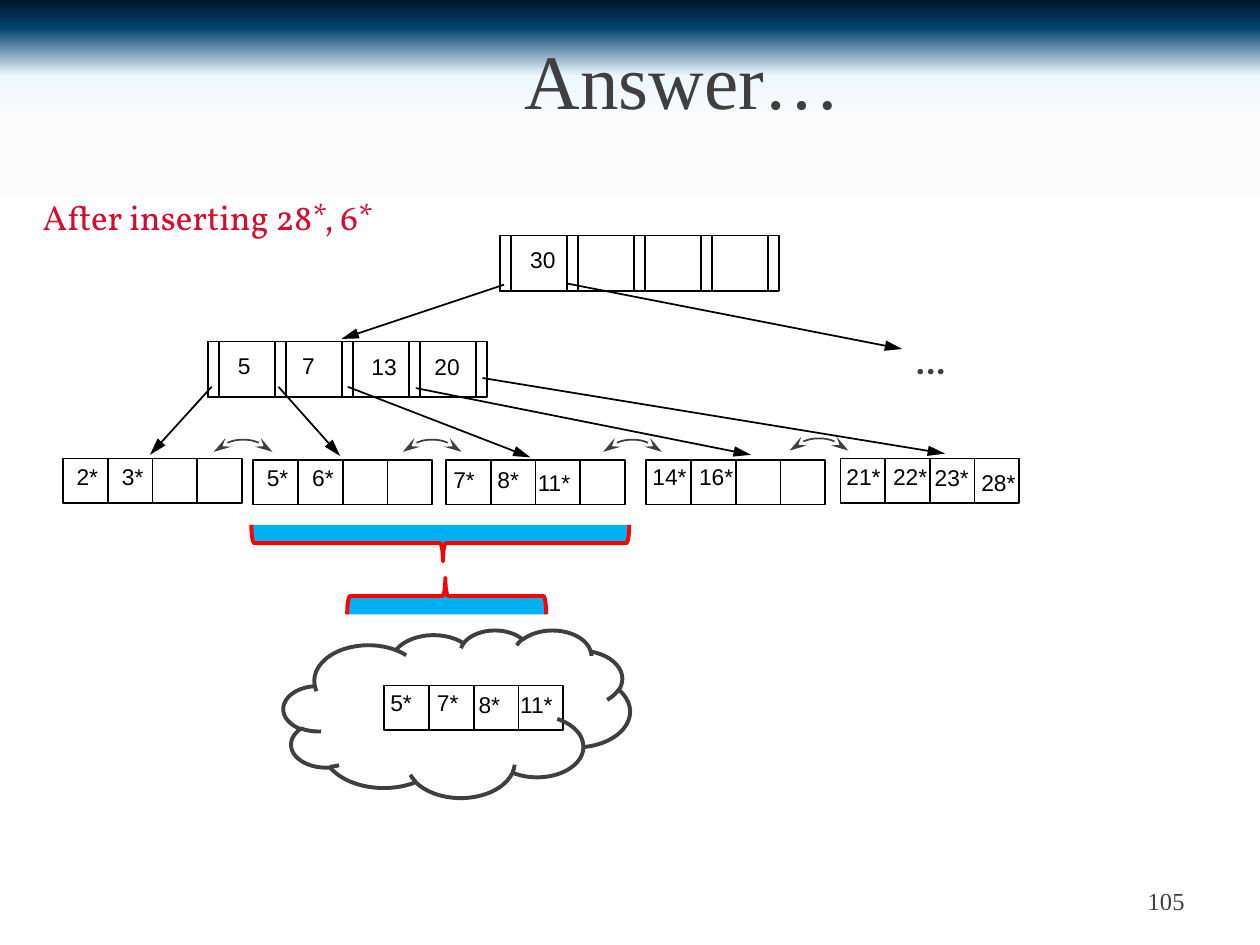
import pptx
import pptx.util
import pptx.dml.color
import pptx.enum.shapes
import pptx.enum.text
import pptx.oxml
import pptx.oxml.ns

Inches = pptx.util.Inches
Pt = pptx.util.Pt
RGBColor = pptx.dml.color.RGBColor
SHAPE = pptx.enum.shapes.MSO_SHAPE
ALIGN = pptx.enum.text.PP_ALIGN
ANCHOR = pptx.enum.text.MSO_ANCHOR

BLACK = RGBColor(0, 0, 0)
GRAY = RGBColor(0x3F, 0x3F, 0x3F)
CRIMSON = RGBColor(0xCF, 0x0E, 0x30)
RED = RGBColor(0xFF, 0, 0)
BLUE = RGBColor(0, 0xB0, 0xF0)
BACKGROUND_STOPS = [
    (0, RGBColor(0x01, 0x16, 0x29)), (3, RGBColor(0x05, 0x44, 0x70)),
    (8, RGBColor(0xEC, 0xF7, 0xFE)), (13, RGBColor(0xFC, 0xFC, 0xFC)),
    (21, RGBColor(0xFF, 0xFF, 0xFF)), (98, RGBColor(0xFF, 0xFF, 0xFF)),
]

LEAF_CELL = 0.355
KEY_CELL, POINTER_CELL, INDEX_HEIGHT = 0.532, 0.088, 0.44

# Each node: left, top, then labels as (text, left, top)
INDEX_NODES = [
    (3.97, 1.87, [("30", 4.11, 1.9)]),
    (1.65, 2.71, [("5", 1.79, 2.74), ("7", 2.3, 2.74),
                  ("13", 2.85, 2.75), ("20", 3.35, 2.75)]),
]
LEAF_NODES = [
    (0.5, 3.64, [("2*", 0.51, 3.62), ("3*", 0.87, 3.62)]),
    (2.01, 3.65, [("5*", 2.02, 3.63), ("6*", 2.38, 3.63)]),
    (3.54, 3.65, [("7*", 3.5, 3.65), ("8*", 3.85, 3.65), ("11*", 4.17, 3.67)]),
    (5.13, 3.65, [("14*", 5.08, 3.62), ("16*", 5.45, 3.62)]),
    (6.67, 3.64, [("21*", 6.62, 3.62), ("22*", 6.99, 3.62),
                  ("23*", 7.32, 3.63), ("28*", 7.69, 3.67)]),
]
MERGED_NODE = (3.05, 5.44, [("5*", 3, 5.42), ("7*", 3.37, 5.42),
                            ("8*", 3.7, 5.43), ("11*", 4.03, 5.43)])

# Child pointers: start x, start y, tip x, tip y
POINTERS = [
    (4, 2.26, 2.71, 2.69), (4.5, 2.25, 7.16, 2.77),
    (1.68, 3.07, 1.19, 3.61), (2.21, 3.07, 2.7, 3.62),
    (2.76, 3.07, 4.21, 3.63), (3.3, 3.08, 5.96, 3.61),
    (3.83, 3, 7.5, 3.6),
]
# Centres of the arcs that link neighbouring leaves
SIBLING_LINKS = [(1.93, 3.82), (3.43, 3.82), (5.02, 3.82), (6.5, 3.81)]
LINK_RADIUS = 0.33


def paint_background(page):
    fill = page.background.fill
    fill.gradient()
    fill.gradient_angle = 270
    stops = page.element.xpath(".//a:gsLst")[0]
    for stop in list(stops):
        stops.remove(stop)
    namespace = pptx.oxml.ns.nsdecls("a")
    for percent, color in BACKGROUND_STOPS:
        stops.append(pptx.oxml.parse_xml(
            f'<a:gs {namespace} pos="{percent * 1000}"><a:srgbClr val="{color}"/></a:gs>'))


def add_text(page, text, left, top, width, height, size, font, color,
             align=ALIGN.LEFT, anchor=ANCHOR.TOP, bold=False, wrap=False):
    box = page.shapes.add_textbox(Inches(left), Inches(top), Inches(width), Inches(height))
    frame = box.text_frame
    frame.text = text
    frame.word_wrap = wrap
    frame.vertical_anchor = anchor
    para = frame.paragraphs[0]
    para.alignment = align
    span = para.runs[0]
    span.font.size = Pt(size)
    span.font.name = font
    span.font.bold = bold
    span.font.color.rgb = color


def add_outline(page, kind, left, top, width, height, color=BLACK, weight=1, fill=None):
    shape = page.shapes.add_shape(
        kind, Inches(left), Inches(top), Inches(width), Inches(height))
    shape.shadow.inherit = False
    if fill is None:
        shape.fill.background()
    else:
        shape.fill.solid()
        shape.fill.fore_color.rgb = fill
    shape.line.color.rgb = color
    shape.line.width = Pt(weight)
    return shape


def add_arrowhead(shape, end, kind):
    line = shape.line._get_or_add_ln()
    line.append(pptx.oxml.parse_xml(
        f'<a:{end} {pptx.oxml.ns.nsdecls("a")} type="{kind}" w="med" len="lg"/>'))


def add_labels(page, labels):
    for text, left, top in labels:
        width = 0.2 + 0.1 * len(text) - (0.03 if "*" in text else 0)
        add_text(page, text, left, top, width, 0.32, 13, "Arial", BLACK)


def add_leaf(page, left, top):
    for index in range(4):
        add_outline(page, SHAPE.RECTANGLE, left + index * LEAF_CELL, top,
                    LEAF_CELL, LEAF_CELL)


def add_index_node(page, left, top):
    for index in range(5):
        cell_left = left + index * KEY_CELL
        if index < 4:
            add_outline(page, SHAPE.RECTANGLE, cell_left, top, KEY_CELL, INDEX_HEIGHT)
        add_outline(page, SHAPE.RECTANGLE, cell_left, top, POINTER_CELL, INDEX_HEIGHT)


def add_pointer(page, start_x, start_y, tip_x, tip_y):
    arrow = page.shapes.add_connector(
        pptx.enum.shapes.MSO_CONNECTOR.STRAIGHT,
        Inches(start_x), Inches(start_y), Inches(tip_x), Inches(tip_y))
    arrow.line.color.rgb = BLACK
    arrow.line.width = Pt(1)
    add_arrowhead(arrow, "tailEnd", "triangle")
    arrow.element.spPr.append(
        pptx.oxml.parse_xml(f'<a:effectLst {pptx.oxml.ns.nsdecls("a")}/>'))


def add_sibling_link(page, center_x, center_y):
    arc = add_outline(page, SHAPE.ARC, center_x - LINK_RADIUS, center_y - LINK_RADIUS,
                      2 * LINK_RADIUS, 2 * LINK_RADIUS, GRAY)
    # Angles in units of 0.6 per degree: 225 to 315 degrees
    arc.adjustments[0] = 225 * 0.6
    arc.adjustments[1] = 315 * 0.6
    for end in ("headEnd", "tailEnd"):
        add_arrowhead(arc, end, "stealth")


def add_brace(page, left, top, width, height, rotation):
    brace = add_outline(page, SHAPE.LEFT_BRACE, left, top, width, height, RED, 2.25, BLUE)
    brace.adjustments[0] = 0.083
    brace.adjustments[1] = 0.507
    brace.rotation = rotation


def main():
    deck = pptx.Presentation()
    deck.slide_width, deck.slide_height = Inches(10), Inches(7.5)
    page = deck.slides.add_slide(deck.slide_layouts[6])
    paint_background(page)

    # Title, heading and page number
    add_text(page, "105", 7.17, 6.95, 2.33, 0.4, 14, "Times New Roman", GRAY,
             ALIGN.RIGHT, ANCHOR.MIDDLE, wrap=True)
    add_text(page, "Answer…", 1.17, 0, 8.5, 1.25, 44, "Times New Roman", GRAY,
             ALIGN.CENTER, ANCHOR.MIDDLE, wrap=True)
    add_text(page, "After inserting 28*, 6*", 0.24, 1.5, 2.84, 0.43, 20, "Vollkorn", CRIMSON)

    # Tree nodes
    for left, top, labels in INDEX_NODES:
        add_index_node(page, left, top)
        add_labels(page, labels)
    for left, top, labels in LEAF_NODES:
        add_leaf(page, left, top)
        add_labels(page, labels)
    add_text(page, "…", 7.17, 2.67, 0.45, 0.4, 18, "Vollkorn", GRAY, bold=True)

    # Pointers between nodes
    for pointer in POINTERS:
        add_pointer(page, *pointer)
    for center in SIBLING_LINKS:
        add_sibling_link(page, *center)

    # Earlier leaf in a cloud, matched by braces to the two split leaves
    left, top, labels = MERGED_NODE
    add_brace(page, 3.35, 2.81, 0.29, 3, 270)
    add_leaf(page, left, top)
    add_outline(page, SHAPE.CLOUD, 2.25, 5, 2.75, 1.33, GRAY, 2.25)
    add_brace(page, 3.4, 3.94, 0.29, 1.58, 90)
    add_labels(page, labels)

    deck.save("out.pptx")


if __name__ == "__main__":
    main()
